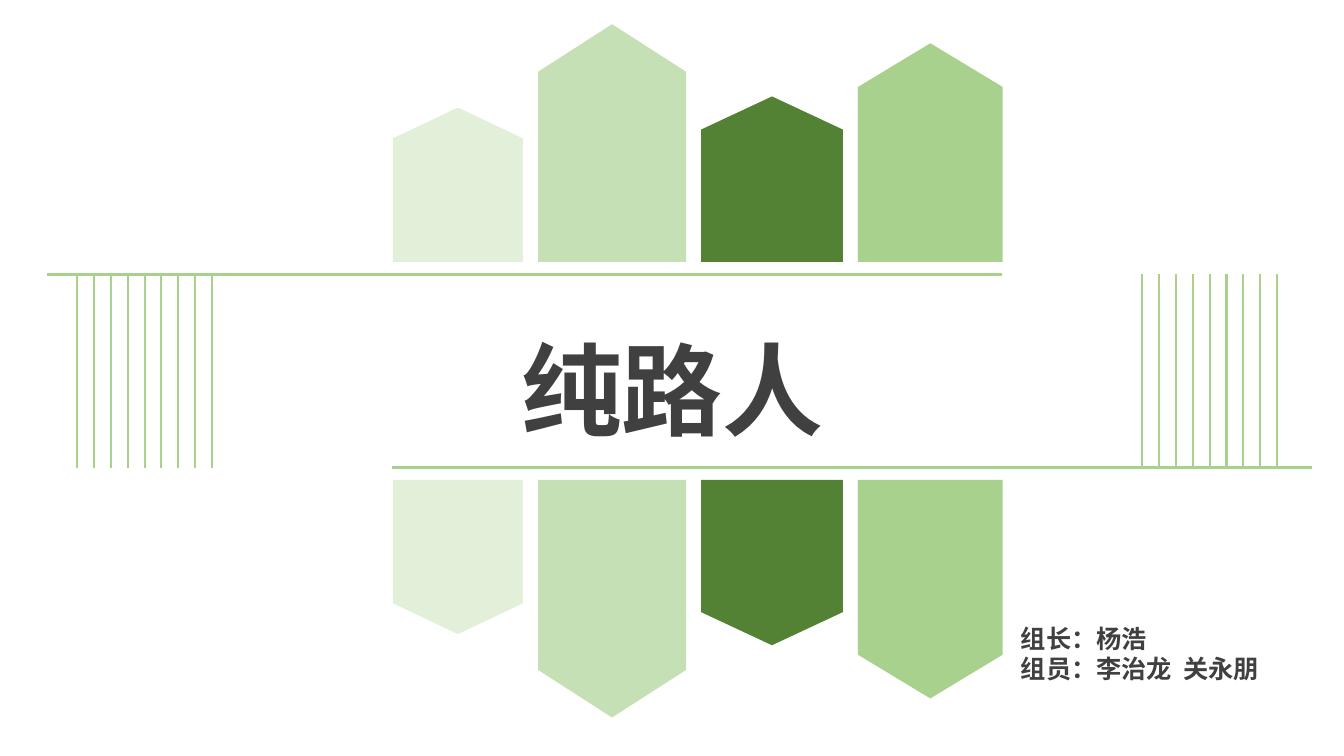
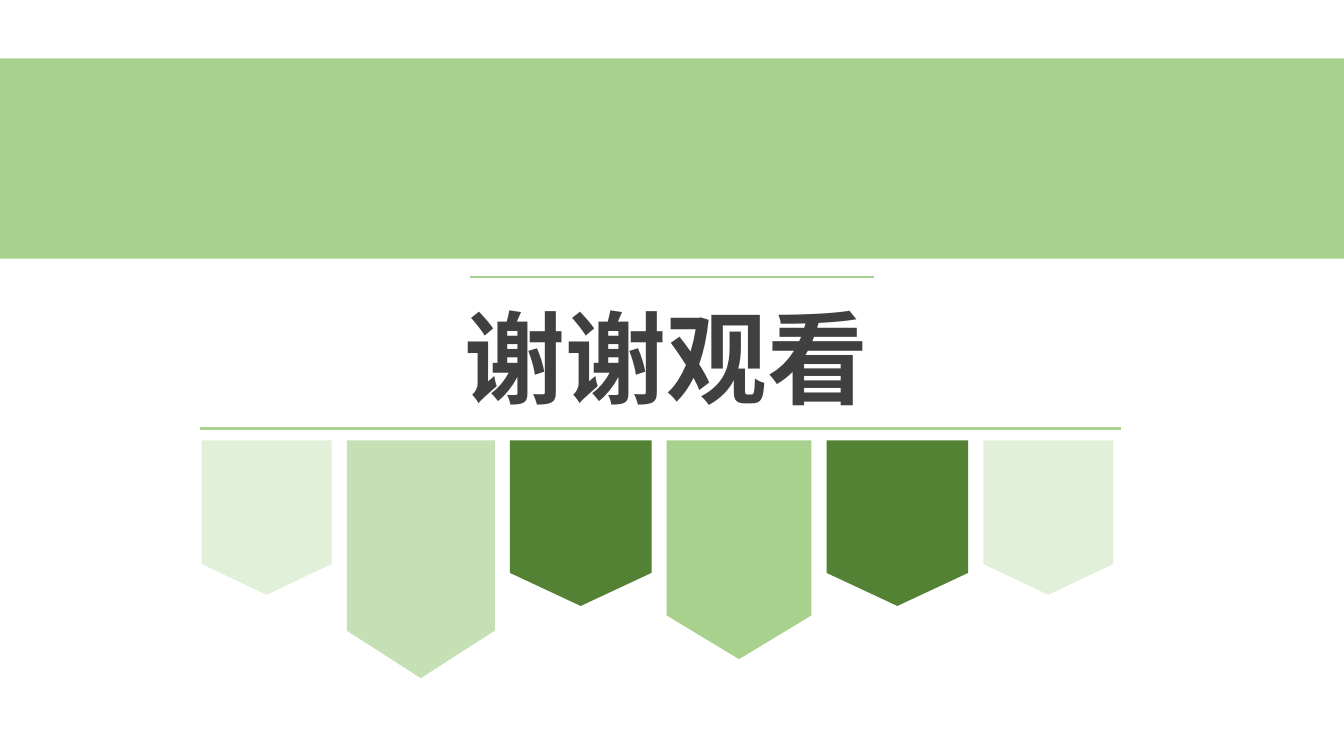
from dataclasses import dataclass

from lxml import etree
from pptx import Presentation
from pptx.dml.color import RGBColor
from pptx.enum import shapes, text
from pptx.oxml import ns
from pptx.util import Cm, Pt

FONT = "Noto Sans CJK SC"
INK, GREEN, GOLD = "404040", "A9D18E", "BF9000"
SLIDE_WIDTH, SLIDE_HEIGHT = 33.87, 19.05
BANNER_GAP = 0.38
TITLE_ONLY = 5


@dataclass(frozen=True)
class Banner:
    width: float
    height: float
    color: str


@dataclass(frozen=True)
class Rule:
    left: float
    top: float
    right: float
    bottom: float
    weight: float = 2.25
    color: str = GREEN


@dataclass(frozen=True)
class Area:
    left: float
    top: float
    width: float
    height: float

    def lengths(self) -> tuple:
        return Cm(self.left), Cm(self.top), Cm(self.width), Cm(self.height)


PALE = Banner(3.28, 3.89, "E2F0D9")
LIGHT = Banner(3.73, 5.99, "C5E0B4")
DARK = Banner(3.57, 4.17, "548235")
MEDIUM = Banner(3.65, 5.51, GREEN)
BANNERS = (PALE, LIGHT, DARK, MEDIUM)


def rgb(color: str) -> RGBColor:
    return RGBColor.from_string(color)


def add_filled(page, kind, area: Area, color: str):
    shape = page.shapes.add_shape(kind, *area.lengths())
    shape.shadow.inherit = False
    shape.fill.solid()
    shape.fill.fore_color.rgb = rgb(color)
    shape.line.fill.background()
    return shape


def add_banners(page, banners: tuple, left: float, edge: float,
                upward: bool = False) -> None:
    for banner in banners:
        top = edge - banner.height if upward else edge
        shape = add_filled(
            page, shapes.MSO_SHAPE.FLOWCHART_OFFPAGE_CONNECTOR,
            Area(left, top, banner.width, banner.height), banner.color)
        shape.rotation = 180 if upward else 0
        left += banner.width + BANNER_GAP


def add_rule(holder, rule: Rule) -> None:
    line = holder.shapes.add_connector(
        shapes.MSO_CONNECTOR.STRAIGHT,
        Cm(rule.left), Cm(rule.top), Cm(rule.right), Cm(rule.bottom))
    line.line.color.rgb = rgb(rule.color)
    line.line.width = Pt(rule.weight)
    etree.SubElement(line._element.spPr, ns.qn("a:effectLst"))


def add_stripes(page, left: float, top: float, bottom: float,
                count: int = 9, span: float = 3.39) -> None:
    group = page.shapes.add_group_shape()
    for index in range(count):
        x = left + index * span / (count - 1)
        add_rule(group, Rule(x, top, x, bottom, 1.5))


def write(box, lines: tuple, size: float, indent: float = 0) -> None:
    frame = box.text_frame
    frame.word_wrap = True
    frame.auto_size = text.MSO_AUTO_SIZE.NONE
    frame.vertical_anchor = text.MSO_ANCHOR.TOP
    for index, line in enumerate(lines):
        para = frame.add_paragraph() if index else frame.paragraphs[0]
        para.alignment = text.PP_ALIGN.LEFT
        para.line_spacing = 1.0
        para.space_before = Pt(0)
        properties = para._p.get_or_add_pPr()
        properties.set("marL", str(Cm(indent)))
        properties.set("indent", "0")
        span = para.add_run()
        span.text = line
        span.font.name = FONT
        span.font.size = Pt(size)
        span.font.bold = True
        span.font.color.rgb = rgb(INK)
        east_asian = etree.SubElement(span.font._element, ns.qn("a:ea"))
        east_asian.set("typeface", FONT)


def add_page(deck, title: str, area: Area, indent: float = 0):
    page = deck.slides.add_slide(deck.slide_layouts[TITLE_ONLY])
    box = page.shapes.title
    box.left, box.top, box.width, box.height = area.lengths()
    write(box, (title,), 72, indent)
    return page


def build_cover(deck) -> None:
    upper, lower = 6.91, 11.79
    page = add_page(deck, "纯路人", Area(9.98, 8.13, 16, 3.33), 2.9)
    add_rule(page, Rule(9.88, lower, 33.07, lower))
    add_rule(page, Rule(1.19, upper, 25.25, upper))
    add_banners(page, BANNERS, 9.9, 12.09)
    add_banners(page, BANNERS, 9.9, 6.6, upward=True)
    for left in (1.95, 28.79):
        add_stripes(page, left, upper, lower)
    credits = page.shapes.add_textbox(*Area(25.48, 15.57, 8.33, 1.8).lengths())
    write(credits, ("组长：杨浩", "组员：李治龙  关永朋"), 18)


def build_closing(deck) -> None:
    page = add_page(deck, "谢谢观看", Area(11.46, 7.32, 10.95, 3.33))
    add_rule(page, Rule(8.76, 10.82, 22.78, 10.82, 1.5, GOLD))
    add_rule(page, Rule(11.84, 6.99, 22.02, 6.99, 1.5))
    add_rule(page, Rule(5.05, 10.8, 28.24, 10.8))
    add_banners(page, BANNERS + (DARK, PALE), 5.08, 11.1)
    add_filled(page, shapes.MSO_SHAPE.RECTANGLE,
               Area(0, 1.47, SLIDE_WIDTH, 5.05), GREEN)


def main() -> None:
    deck = Presentation()
    deck.slide_width, deck.slide_height = Cm(SLIDE_WIDTH), Cm(SLIDE_HEIGHT)
    build_cover(deck)
    build_closing(deck)
    deck.save("out.pptx")


if __name__ == "__main__":
    main()
